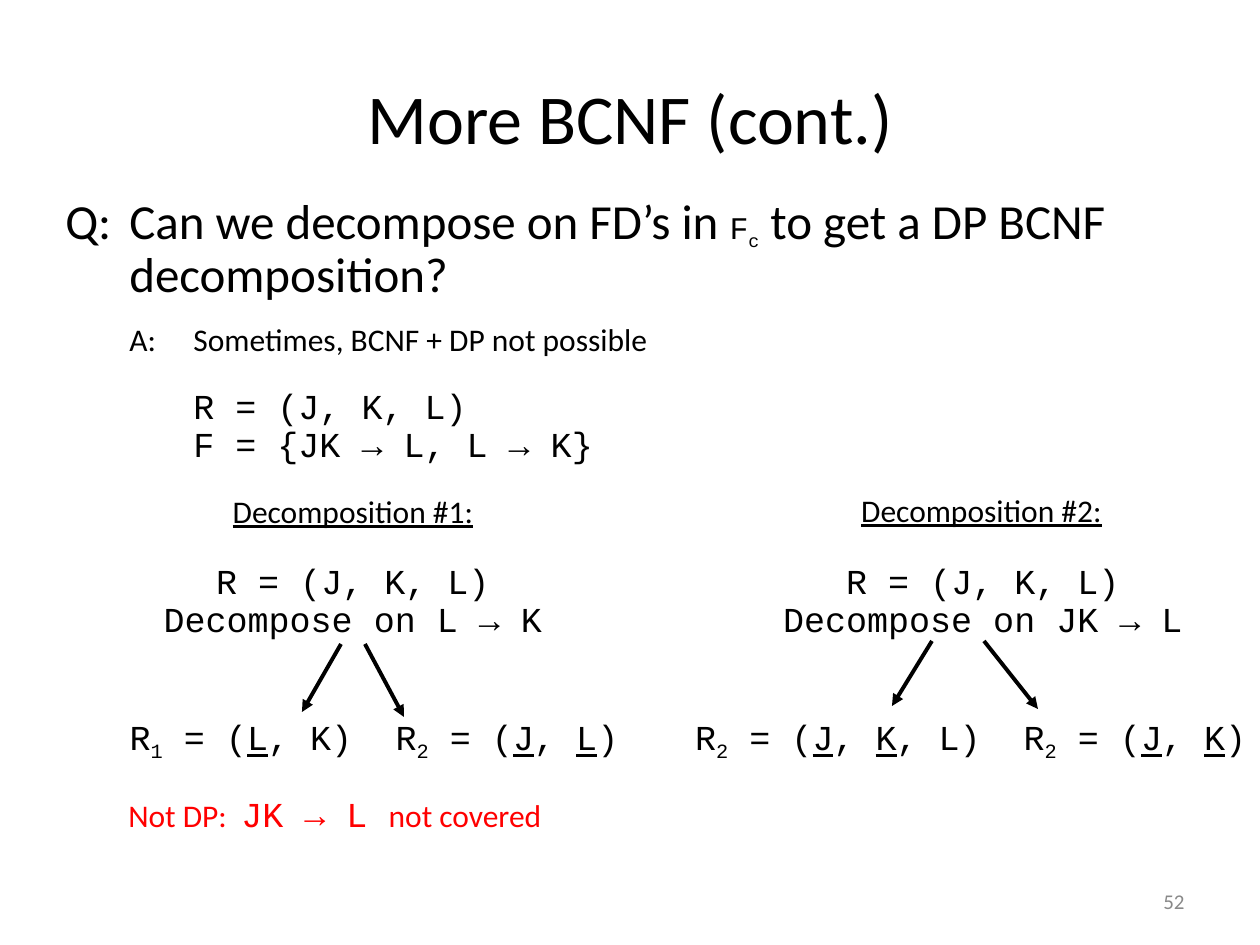
from lxml import etree
from pptx import Presentation
from pptx.dml.color import RGBColor
from pptx.enum.shapes import MSO_CONNECTOR
from pptx.enum.text import MSO_ANCHOR, MSO_AUTO_SIZE, PP_ALIGN
from pptx.oxml.ns import qn
from pptx.util import Pt

LEFT, MID, RIGHT = PP_ALIGN.LEFT, PP_ALIGN.CENTER, PP_ALIGN.RIGHT
TOP, CENTER = MSO_ANCHOR.TOP, MSO_ANCHOR.MIDDLE
GROW = MSO_AUTO_SIZE.SHAPE_TO_FIT_TEXT
STRAIGHT = MSO_CONNECTOR.STRAIGHT

EMU = 914400 / 126  # one px
HANG = 64
COLORS = {"ink": "000000", "red": "FF0000", "gray": "898989"}
SANS, MONO = "Calibri", "Courier New"

# Styles: font, size, colour
STYLES = {
    "title": (SANS, 40, "ink"),
    "ask": (SANS, 28, "ink"),
    "note": (SANS, 18, "ink"),
    "head": (SANS, 18, "ink"),
    "small": (MONO, 18, "ink"),
    "code": (MONO, 20, "ink"),
    "warn": (SANS, 18, "red"),
    "rule": (MONO, 20, "red"),
    "page": (SANS, 12, "gray"),
}

# Content: a run is (text, style) or (text, style, mark)
TITLE = [[("More BCNF (cont.)", "title")]]
QUERY = [[("Q:\tCan we decompose on FD’s in ", "ask"), ("F", "small"),
          ("c", "small", "sub"), (" to get a DP BCNF decomposition?", "ask")]]
REPLY = [[("A:\tSometimes, BCNF + DP not possible", "note")]]
GIVEN = [[("\tR = (J, K, L)", "code")], [("\tF = {JK → L, L → K}", "code")]]
FAIL = [[("Not DP:\t", "warn"), ("JK → L ", "rule"), ("not covered", "warn")]]
PAGE = [[("52", "page")]]

# Each split: heading box, rule, left of steps, relations, arrows.
# A relation is (left, width, index, attributes, number of key attributes).
SPLITS = [
    {"head": ("Decomposition #1:", 113, 490, 480), "on": "L → K", "left": 38,
     "rels": [(116, 250, "1", "LK", 1), (382, 250, "2", "JL", 2)],
     "arrows": [(341, 644, 302, 712), (365, 644, 404, 717)]},
    {"head": ("Decomposition #2:", 718, 489, 527), "on": "JK → L", "left": 668,
     "rels": [(681, 314, "2", "JKL", 2), (1010, 250, "2", "JK", 2)],
     "arrows": [(932, 641, 892, 706), (984, 641, 1038, 709)]},
]


def px(n):
    return round(n * EMU)


def add_run(para, text, style, mark=None):
    face, size, color = STYLES[style]
    run = para.add_run()
    run.text = text
    font = run.font
    font.name, font.size = face, Pt(size)
    font.color.rgb = RGBColor.from_string(COLORS[color])
    if mark == "line":
        font.underline = True
    elif mark == "sub":
        font._element.set("baseline", "-25000")


def add_text(slide, box, paras, align=LEFT, anchor=TOP, wrap=True,
             space=1.0, hang=0, tab=0):
    frame = slide.shapes.add_textbox(*map(px, box)).text_frame
    frame.word_wrap, frame.vertical_anchor = wrap, anchor
    if not wrap:
        frame.auto_size = GROW
    for i, runs in enumerate(paras):
        para = frame.add_paragraph() if i else frame.paragraphs[0]
        para.alignment, para.line_spacing = align, space
        props = para._p.get_or_add_pPr()
        if hang:
            props.set("marL", str(px(hang)))
            props.set("indent", str(-px(hang)))
        if tab:
            stops = etree.SubElement(props, qn("a:tabLst"))
            etree.SubElement(stops, qn("a:tab"), pos=str(px(tab)), algn="l")
        for run in runs:
            add_run(para, *run)


def add_arrow(slide, ends):
    arrow = slide.shapes.add_connector(STRAIGHT, *map(px, ends))
    arrow.line.width = Pt(2.25)
    arrow.line.color.rgb = RGBColor.from_string(COLORS["ink"])
    etree.SubElement(arrow.line._get_or_add_ln(), qn("a:tailEnd"), type="triangle")
    etree.SubElement(arrow._element.spPr, qn("a:effectLst"))


def rel_runs(index, attrs, keys):
    runs = [("R", "code"), (index, "code", "sub"), (" = (", "code")]
    for i, name in enumerate(attrs):
        if i:
            runs.append((", ", "code"))
        runs.append((name, "code", "line" if i < keys else None))
    return runs + [(")", "code")]


def add_split(slide, split):
    label, left, top, width = split["head"]
    add_text(slide, (left, top, width, 47), [[(label, "head", "line")]],
             MID, space=0.9)
    steps = [[("R = (J, K, L)", "code")],
             [("Decompose on " + split["on"], "code")]]
    add_text(slide, (split["left"], 558, 630, 88), steps, MID, space=0.9)
    for ends in split["arrows"]:
        add_arrow(slide, ends)
    for left, width, *rel in split["rels"]:
        add_text(slide, (left, 709, width, 60), [rel_runs(*rel)], MID, wrap=False)


def main():
    deck = Presentation()
    deck.slide_width, deck.slide_height = px(1260), px(945)
    slide = deck.slides.add_slide(deck.slide_layouts[6])

    # Title, question and answer
    add_text(slide, (63, 38, 1134, 158), TITLE, MID, CENTER)
    add_text(slide, (53, 190, 1211, 120), QUERY, space=0.9, hang=HANG)
    add_text(slide, (117, 318, 740, 47), REPLY, space=0.9, hang=HANG)
    add_text(slide, (117, 383, 630, 88), GIVEN, space=0.9, hang=HANG)

    # Two decompositions
    for split in SPLITS:
        add_split(slide, split)

    # Verdict and page number
    add_text(slide, (116, 786, 529, 55), FAIL, tab=113)
    add_text(slide, (903, 876, 294, 50), PAGE, RIGHT, CENTER)
    deck.save("out.pptx")


if __name__ == "__main__":
    main()
